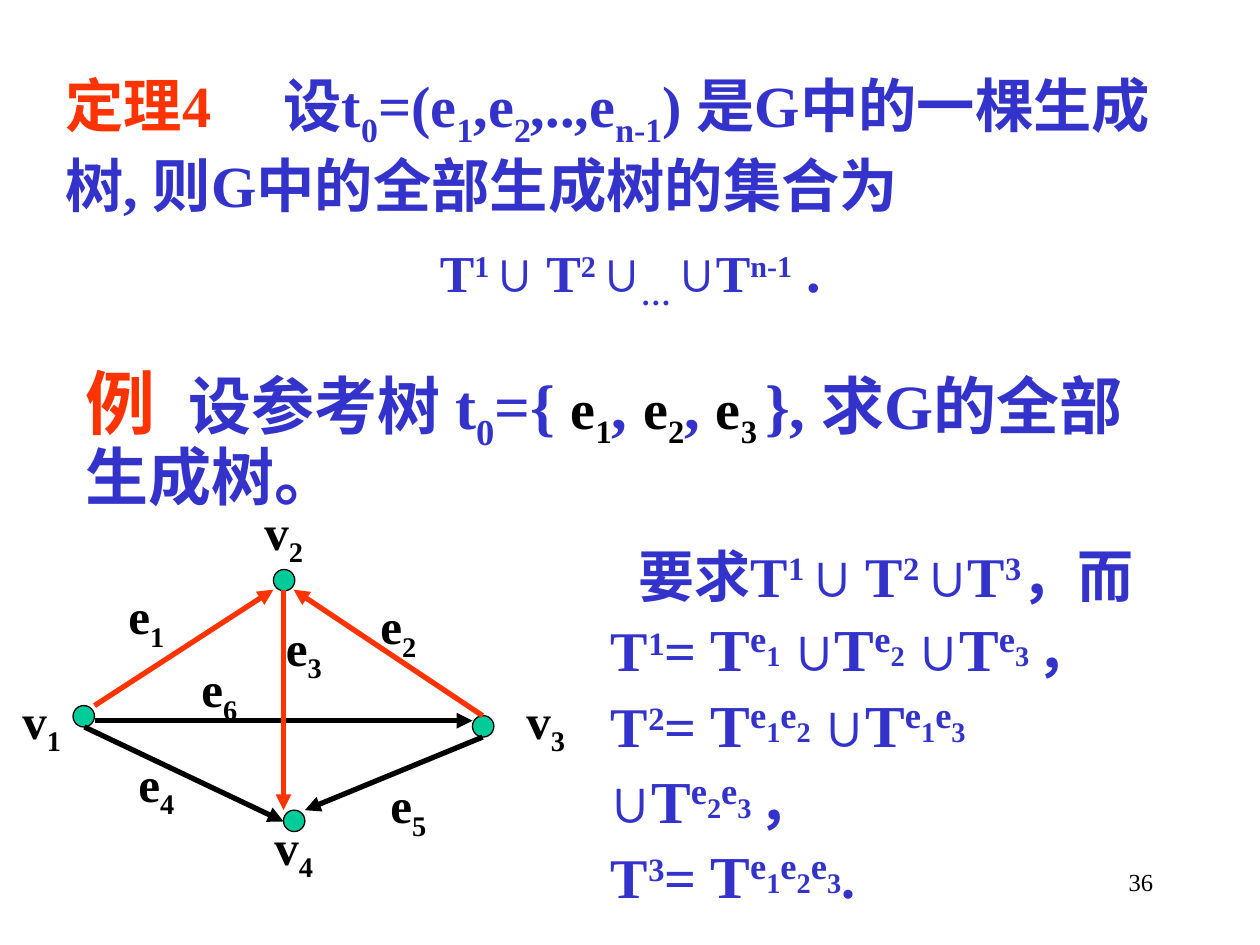
"""Build the slide on the set of all spanning trees of a graph."""
import dataclasses

import lxml.etree
import pptx
import pptx.dml.color
import pptx.enum.dml
import pptx.enum.shapes
import pptx.enum.text
import pptx.oxml.ns
import pptx.util

Inches = pptx.util.Inches
Pt = pptx.util.Pt
ALIGN = pptx.enum.text.PP_ALIGN


@dataclasses.dataclass(frozen=True)
class Theme:
    """Colours, fonts and type sizes."""

    paper: str = "FFFFFF"
    ink: str = "000000"
    accent: str = "FF3300"
    statement: str = "3333CC"
    vertex: str = "00CC99"
    font: str = "Times New Roman"
    symbol_font: str = "Arial"
    theorem: float = 33.3
    formula: float = 29.6
    example_head: float = 40
    example: float = 36
    body: float = 32
    label: float = 28
    page: float = 14
    tree: float = 34
    edge: float = 36
    edge_index: float = 28


THEME = Theme()
MARKS = {
    "^": (30, None),
    "_": (-25, None),
    "#": (0, THEME.tree),
    "~": (30, THEME.edge),
    "`": (10, THEME.edge_index),
}


def rgb(value):
    """Turn a hex string into a colour."""
    return pptx.dml.color.RGBColor.from_string(value)


def write(paragraph, text, size=THEME.body, color=THEME.statement, bold=True):
    """Add text whose pieces, parted by bars, may open with a mark for raising or size."""
    for piece in text.split("|"):
        if piece == "\n":
            paragraph.add_line_break()
            continue
        baseline, own_size = MARKS.get(piece[0], (0, None))
        run = paragraph.add_run()
        run.text = piece[1:] if piece[0] in MARKS else piece
        run.font.name = THEME.symbol_font if piece == "∪" else THEME.font
        run.font.size = Pt(own_size or size)
        run.font.bold = bold
        run.font.color.rgb = rgb(color)
        if baseline:
            run._r.get_or_add_rPr().set("baseline", str(baseline * 1000))


def tree_set(indices):
    """Return the marked text of T with the given edges as its exponent."""
    return "#T|" + "|".join(f"~e|`{index}" for index in indices)


class SlideBuilder:
    """Holds the theme and the current slide."""

    def __init__(self, theme, slide):
        self.theme = theme
        self.slide = slide
        slide.background.fill.solid()
        slide.background.fill.fore_color.rgb = rgb(theme.paper)

    def textbox(self, left, top, width, height):
        """Add a wrapping text box and return its frame."""
        box = self.slide.shapes.add_textbox(
            Inches(left), Inches(top), Inches(width), Inches(height))
        box.text_frame.word_wrap = True
        return box.text_frame

    def tab_stop(self, paragraph, position):
        """Give a paragraph one left tab stop."""
        stops = lxml.etree.SubElement(
            paragraph._p.get_or_add_pPr(), pptx.oxml.ns.qn("a:tabLst"))
        lxml.etree.SubElement(
            stops, pptx.oxml.ns.qn("a:tab"), pos=str(Inches(position)), algn="l")

    def vertex(self, left, top):
        """Add the dot of a vertex."""
        dot = self.slide.shapes.add_shape(
            pptx.enum.shapes.MSO_SHAPE.OVAL,
            Inches(left), Inches(top), Inches(0.17), Inches(0.17))
        dot.shadow.inherit = False
        dot.fill.solid()
        dot.fill.fore_color.rgb = rgb(self.theme.vertex)
        dot.line.color.rgb = rgb(self.theme.ink)
        dot.line.width = Pt(0.75)

    def edge(self, start, end, color):
        """Add a directed edge."""
        arrow = self.slide.shapes.add_connector(
            pptx.enum.shapes.MSO_CONNECTOR.STRAIGHT,
            *(Inches(length) for length in (*start, *end)))
        arrow.line.color.rgb = rgb(color)
        arrow.line.width = Pt(3)
        lxml.etree.SubElement(
            arrow.line._get_or_add_ln(), pptx.oxml.ns.qn("a:tailEnd"), type="triangle")
        lxml.etree.SubElement(
            arrow._element.spPr, pptx.oxml.ns.qn("a:effectLst"))

    def label(self, name, left, top):
        """Add the name of a vertex or an edge, its index lowered."""
        frame = self.textbox(left, top, 0.67, 0.63)
        write(frame.paragraphs[0], f"{name[0]}|_{name[1]}",
              size=self.theme.label, color=self.theme.ink)

    def theorem(self):
        """Add the theorem and its formula."""
        size = self.theme.theorem
        frame = self.textbox(0.42, 0.5, 9.17, 2.17)
        claim = frame.paragraphs[0]
        self.tab_stop(claim, 1.73)
        write(claim, "定理4\t", size=size, color=self.theme.accent)
        write(claim, "设t|_0|=(e|_1|,e|_2|,..,e|_n-1|) 是G中的一棵生成树, "
              "则G中的全部生成树的集合为", size=size)
        union = frame.add_paragraph()
        union.alignment = ALIGN.CENTER
        union.space_before = Pt(9)
        write(union, "T|^1 |∪| T|^2 |∪|_… |∪|T|^n-1", size=self.theme.formula)
        write(union, " .", size=size)

    def example(self):
        """Add the example with its reference tree."""
        size = self.theme.example
        task = self.textbox(0.58, 2.83, 8.83, 1.31).paragraphs[0]
        self.tab_stop(task, 0.82)
        task.line_spacing = 0.9
        write(task, "例\t", size=self.theme.example_head, color=self.theme.accent)
        write(task, "设参考树 t|_0|={ ", size=size)
        for index, follower in (("1", ", "), ("2", ", "), ("3 ", "}, 求G的全部生成树。")):
            write(task, f"e|_{index}", color=self.theme.ink)
            write(task, follower, size=size)

    def solution(self):
        """Add the tree sets that make up the answer."""
        frame = self.textbox(4.75, 4.25, 4.83, 3.17)
        goal = frame.paragraphs[0]
        goal._p.get_or_add_pPr().set("indent", str(Inches(0.22)))
        write(goal, "要求T|^1 |∪| T|^2 |∪|T|^3|，而")
        one, two, three = (tree_set(index) for index in "123")
        pairs = [tree_set(pair) for pair in ("12", "13", "23")]
        for number, terms in enumerate((
                f"{one}| |∪|{two}| |∪|{three} |，",
                f"{pairs[0]}| |∪|{pairs[1]}|\n|∪|{pairs[2]} |，",
                f"{tree_set('123')}|."), 1):
            write(frame.add_paragraph(), f"T|^{number}|= |{terms}")

    def page_number(self, number):
        """Add the page number."""
        paragraph = self.textbox(7.17, 6.83, 2.08, 0.5).paragraphs[0]
        paragraph.alignment = ALIGN.RIGHT
        write(paragraph, number, size=self.theme.page, color=self.theme.ink, bold=False)


def main():
    """Build and save the slide."""
    deck = pptx.Presentation()
    deck.slide_width, deck.slide_height = Inches(10), Inches(7.5)
    builder = SlideBuilder(THEME, deck.slides.add_slide(deck.slide_layouts[6]))
    builder.theorem()
    for place in ((0.58, 5.6), (2.17, 4.52), (3.75, 5.68), (2.25, 6.43)):
        builder.vertex(*place)
    for start, end, color in (
            ((0.75, 5.6), (2.17, 4.68), THEME.accent),
            ((0.75, 5.72), (3.75, 5.72), THEME.ink),
            ((0.67, 5.77), (2.25, 6.52), THEME.ink),
            ((2.25, 4.68), (2.25, 6.43), THEME.accent),
            ((3.83, 5.68), (2.33, 4.68), THEME.accent),
            ((3.83, 5.85), (2.42, 6.43), THEME.ink)):
        builder.edge(start, end, color)
    for name, left, top in (
            ("v1", 0.08, 5.43), ("v4", 2.08, 6.43), ("v3", 4.08, 5.43),
            ("v2", 2, 3.93), ("e1", 0.92, 4.6), ("e6", 1.5, 5.18),
            ("e4", 1, 5.93), ("e3", 2.17, 4.85), ("e5", 3, 6.1), ("e2", 2.92, 4.68)):
        builder.label(name, left, top)
    builder.example()
    builder.solution()
    builder.page_number("36")
    deck.save("out.pptx")


if __name__ == "__main__":
    main()
